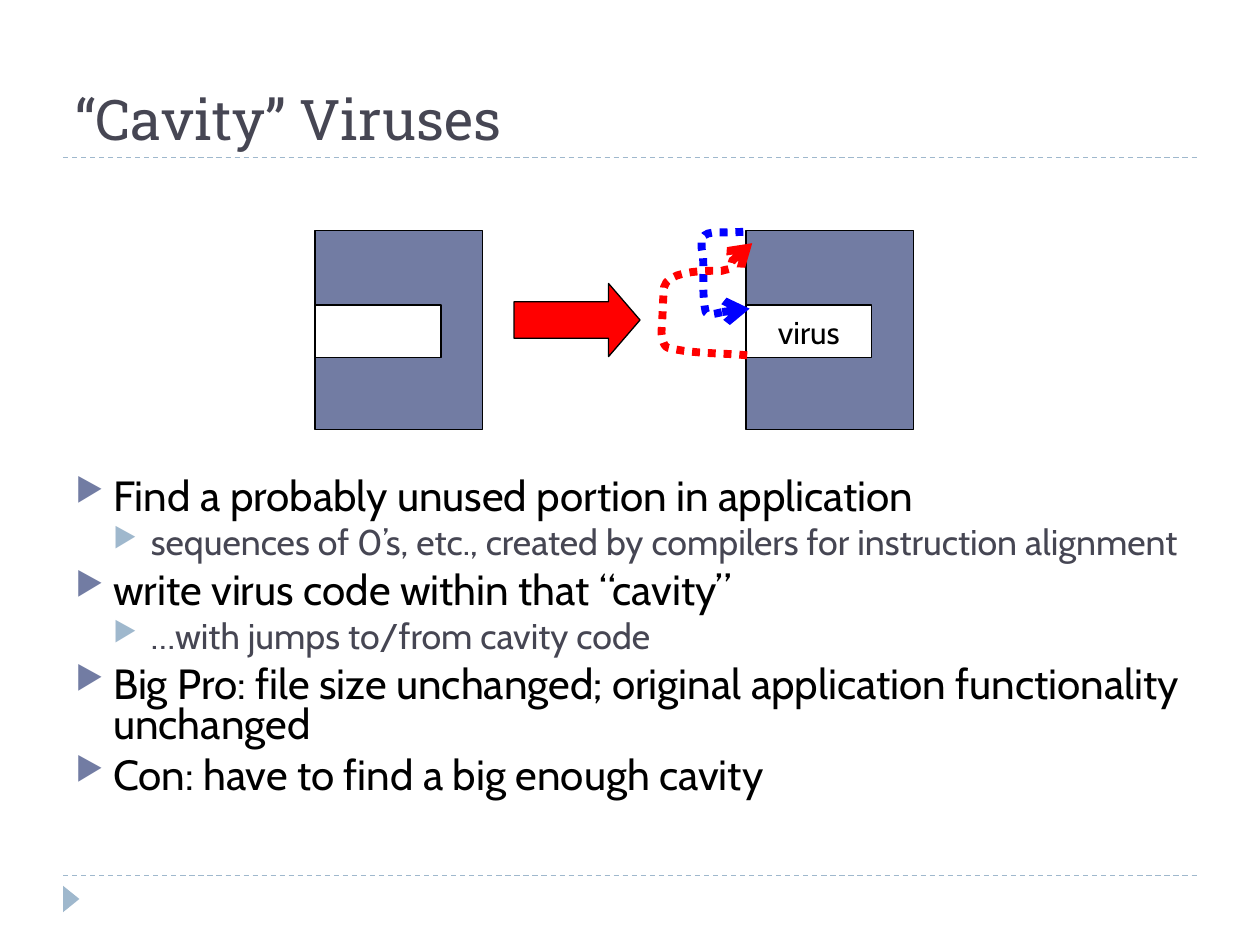
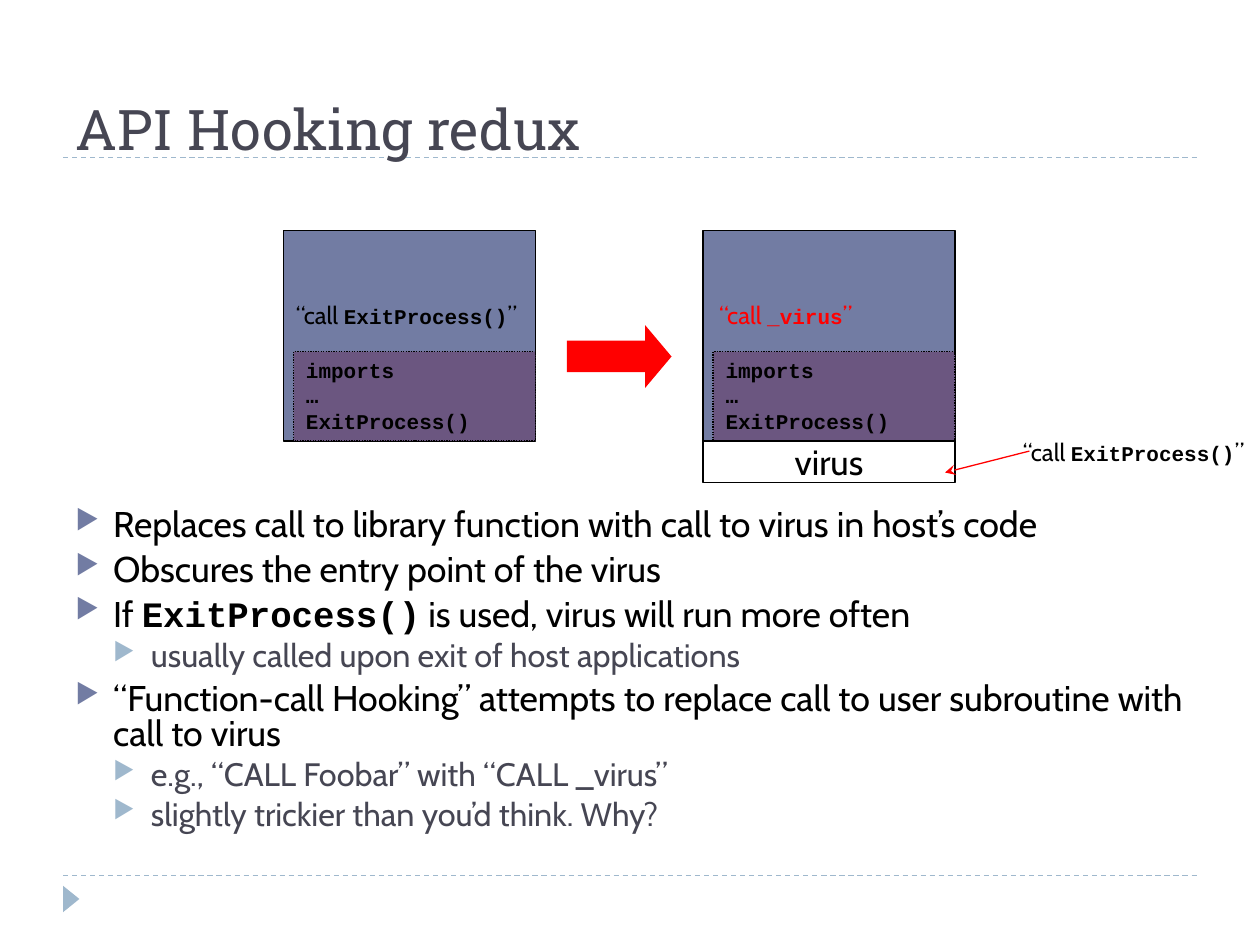
from lxml.etree import SubElement
from pptx import Presentation
from pptx.dml.color import RGBColor
from pptx.enum.dml import MSO_LINE
from pptx.enum.shapes import MSO_CONNECTOR, MSO_SHAPE
from pptx.enum.text import MSO_ANCHOR, MSO_AUTO_SIZE, PP_ALIGN
from pptx.oxml.ns import qn
from pptx.util import Inches, Pt

BLACK = RGBColor(0x00, 0x00, 0x00)
WHITE = RGBColor(0xFF, 0xFF, 0xFF)
RED = RGBColor(0xFF, 0x00, 0x00)
BLUE = RGBColor(0x00, 0x00, 0xFF)
SLATE = RGBColor(0x46, 0x46, 0x53)
HOST_BLUE = RGBColor(0x72, 0x7C, 0xA3)
PALE_BLUE = RGBColor(0x9F, 0xB8, 0xCD)
IMPORTS_PURPLE = RGBColor(0x6B, 0x56, 0x80)

TITLE_FONT = "Roboto Slab"
BODY_FONT = "Cabin"
CODE_FONT = "Courier New"

# Per outline level: indent in inches, space before in points, bullet and text colours
LEVELS = [(0.3, 6, HOST_BLUE, BLACK), (0.6, 5, PALE_BLUE, SLATE)]


def write(paragraph, text, *, size, color=BLACK, font=BODY_FONT, code_size=None,
          align=PP_ALIGN.LEFT):
    """Fill a paragraph; parts between backticks become bold code."""
    paragraph.alignment = align
    for index, part in enumerate(text.split("`")):
        if not part:
            continue
        is_code = index % 2 == 1
        run = paragraph.add_run()
        run.text = part
        run.font.name = CODE_FONT if is_code else font
        run.font.size = Pt(code_size if is_code and code_size else size)
        run.font.bold = is_code
        run.font.color.rgb = color


def curve_points(start, curves, steps=10):
    """Sample a chain of cubic Bezier curves, each given as (x1, y1, x2, y2, x3, y3)."""
    points = [start]
    for x1, y1, x2, y2, x3, y3 in curves:
        x0, y0 = points[-1]
        for step in range(1, steps + 1):
            t = step / steps
            a, b, c, d = (1 - t) ** 3, 3 * t * (1 - t) ** 2, 3 * t * t * (1 - t), t ** 3
            points.append((a * x0 + b * x1 + c * x2 + d * x3,
                           a * y0 + b * y1 + c * y2 + d * y3))
    return points


class Deck:
    """Holds the presentation, its style and the slide being filled."""

    def __init__(self):
        self.presentation = Presentation()
        self.presentation.slide_width = Inches(10)
        self.presentation.slide_height = Inches(7.5)

    def new_slide(self, title, left, top, width, height):
        layout = self.presentation.slide_layouts[6]
        self.shapes = self.presentation.slides.add_slide(layout).shapes
        for rule_y in (6.95, 1.25):
            self.line((0.5, rule_y), (9.5, rule_y), PALE_BLUE, dash=MSO_LINE.DASH)
        marker = self.block(0.46, 7.07, 0.21, 0.13, PALE_BLUE,
                            kind=MSO_SHAPE.ISOSCELES_TRIANGLE, outline=False)
        marker.rotation = 90
        frame = self.frame(left, top, width, height)
        frame.vertical_anchor = MSO_ANCHOR.BOTTOM
        write(frame.paragraphs[0], title, size=32, color=SLATE, font=TITLE_FONT)

    def frame(self, left, top, width, height, wrap=True):
        box = self.shapes.add_textbox(Inches(left), Inches(top), Inches(width), Inches(height))
        box.text_frame.word_wrap = wrap
        return box.text_frame

    def style_line(self, shape, color, width, dash=None, head=None):
        shape.line.color.rgb = color
        shape.line.width = Pt(width)
        if dash:
            shape.line.dash_style = dash
        if head:
            SubElement(shape.line._get_or_add_ln(), qn("a:tailEnd"), type=head)

    def line(self, start, end, color, dash=None, head=None):
        ends = [Inches(value) for value in (*start, *end)]
        connector = self.shapes.add_connector(MSO_CONNECTOR.STRAIGHT, *ends)
        self.style_line(connector, color, 0.75, dash, head)
        SubElement(connector._element.spPr, qn("a:effectLst"))

    def jump(self, start, curves, color):
        """Draw a dotted, curved jump that ends in an arrowhead."""
        points = [(Inches(x), Inches(y)) for x, y in curve_points(start, curves)]
        builder = self.shapes.build_freeform(*points[0])
        builder.add_line_segments(points[1:], close=False)
        path_shape = builder.convert_to_shape()
        path_shape.shadow.inherit = False
        path_shape.fill.background()
        self.style_line(path_shape, color, 4.5, MSO_LINE.ROUND_DOT, "arrow")

    def block(self, left, top, width, height, fill, kind=MSO_SHAPE.RECTANGLE,
              outline=True, dash=None):
        shape = self.shapes.add_shape(kind, Inches(left), Inches(top),
                                      Inches(width), Inches(height))
        shape.shadow.inherit = False
        shape.fill.solid()
        shape.fill.fore_color.rgb = fill
        if outline:
            self.style_line(shape, BLACK, 0.75, dash)
        else:
            shape.line.fill.background()
        return shape

    def virus(self, left, top, width, height, size):
        frame = self.block(left, top, width, height, WHITE).text_frame
        frame.word_wrap = False
        frame.vertical_anchor = MSO_ANCHOR.MIDDLE
        write(frame.paragraphs[0], "virus", size=size, align=PP_ALIGN.CENTER)

    def becomes(self, left, top, width, height, head_length, outline):
        """Draw the red arrow between the clean and the infected host."""
        arrow = self.block(left, top, width, height, RED,
                           kind=MSO_SHAPE.RIGHT_ARROW, outline=outline)
        arrow.adjustments[1] = head_length

    def call(self, left, top, width, text, color=BLACK):
        frame = self.frame(left, top, width, 0.33, wrap=False)
        frame.auto_size = MSO_AUTO_SIZE.SHAPE_TO_FIT_TEXT
        write(frame.paragraphs[0], text, size=14, code_size=12, color=color)

    def importing_host(self, left, call_left, call_width, call_text, call_color):
        """Draw a host file with its import table and a call in its code."""
        self.block(left, 1.83, 2, 1.67, HOST_BLUE)
        imports = self.block(left + 0.08, 2.79, 1.92, 0.71, IMPORTS_PURPLE,
                             dash=MSO_LINE.ROUND_DOT).text_frame
        imports.word_wrap = True
        imports.vertical_anchor = MSO_ANCHOR.TOP
        for index, entry in enumerate(("imports", "…", "ExitProcess()")):
            paragraph = imports.add_paragraph() if index else imports.paragraphs[0]
            write(paragraph, f"`{entry}`", size=12)
        self.call(call_left, 2.33, call_width, call_text, call_color)

    def outline(self, top, height, sizes, items):
        """Write (level, text) items as bullets; sizes holds one text size per level."""
        frame = self.frame(0.5, top, 9, height)
        for index, (level, text) in enumerate(items):
            indent, space_before, bullet_color, color = LEVELS[level]
            paragraph = frame.add_paragraph() if index else frame.paragraphs[0]
            paragraph.level = level
            paragraph.line_spacing = 0.8
            paragraph.space_before = Pt(space_before)
            write(paragraph, text, size=sizes[level], color=color)
            properties = paragraph._p.get_or_add_pPr()
            properties.set("marL", str(Inches(indent)))
            properties.set("indent", str(Inches(-0.3)))
            bullet_fill = SubElement(properties, qn("a:buClr"))
            SubElement(bullet_fill, qn("a:srgbClr"), val=str(bullet_color))
            SubElement(properties, qn("a:buSzPct"), val="76000")
            SubElement(properties, qn("a:buChar"), char="▶")


def cavity_viruses(deck):
    deck.new_slide("“Cavity” Viruses", 0.5, 0.17, 9, 1.08)
    deck.outline(3.75, 2.87, (24.1, 20.4), [
        (0, "Find a probably unused portion in application"),
        (1, "sequences of 0’s, etc., created by compilers for instruction alignment"),
        (0, "write virus code within that “cavity”"),
        (1, "…with jumps to/from cavity code"),
        (0, "Big Pro: file size unchanged; original application functionality unchanged"),
        (0, "Con: have to find a big enough cavity"),
    ])
    clean_left, infected_left = 2.5, 5.92
    for host_left in (clean_left, infected_left):
        deck.block(host_left, 1.83, 1.33, 1.58, HOST_BLUE)
    deck.block(clean_left, 2.42, 1, 0.42, WHITE)
    deck.virus(infected_left, 2.42, 1, 0.42, size=18)
    deck.jump((5.9, 1.84), [
        (5.63, 1.86, 5.53, 1.79, 5.58, 2.04),
        (5.59, 2.18, 5.57, 2.33, 5.6, 2.47),
        (5.61, 2.52, 5.7, 2.48, 5.77, 2.47),
        (5.83, 2.46, 5.95, 2.45, 5.95, 2.45),
    ], BLUE)
    deck.jump((5.93, 2.82), [
        (5.72, 2.8, 5.5, 2.81, 5.3, 2.76),
        (5.25, 2.74, 5.25, 2.63, 5.25, 2.63),
        (5.26, 2.51, 5.26, 2.39, 5.27, 2.28),
        (5.3, 2.13, 5.69, 2.15, 5.73, 2.15),
        (5.75, 2.14, 5.78, 2.14, 5.8, 2.13),
        (5.81, 2.11, 5.8, 2.08, 5.82, 2.06),
        (5.84, 2.01, 5.9, 1.93, 5.97, 1.93),
    ], RED)
    deck.becomes(4.08, 2.25, 1, 0.58, head_length=0.43, outline=True)


def api_hooking(deck):
    exit_call = "“call `ExitProcess()`”"
    deck.new_slide("API Hooking redux", 0.5, 0.13, 8.25, 1.2)
    deck.outline(4, 2.7, (20.4, 18.5), [
        (0, "Replaces call to library function with call to virus in host’s code"),
        (0, "Obscures the entry point of the virus"),
        (0, "If `ExitProcess()` is used, virus will run more often"),
        (1, "usually called upon exit of host applications"),
        (0, "“Function-call Hooking” attempts to replace call to user subroutine "
            "with call to virus"),
        (1, "e.g., “CALL Foobar” with “CALL _virus”"),
        (1, "slightly trickier than you’d think. Why?"),
    ])
    deck.importing_host(2.25, 2.25, 1.98, exit_call, BLACK)
    deck.importing_host(5.58, 5.61, 1.28, "“call `_virus`”", RED)
    deck.virus(5.58, 3.5, 2, 0.33, size=20)
    deck.becomes(4.5, 2.58, 0.83, 0.5, head_length=0.42, outline=False)
    deck.call(8.02, 3.42, 1.98, exit_call)
    deck.line((8.17, 3.58), (7.5, 3.75), RED, head="stealth")


def main():
    deck = Deck()
    cavity_viruses(deck)
    api_hooking(deck)
    deck.presentation.save("out.pptx")


if __name__ == "__main__":
    main()
